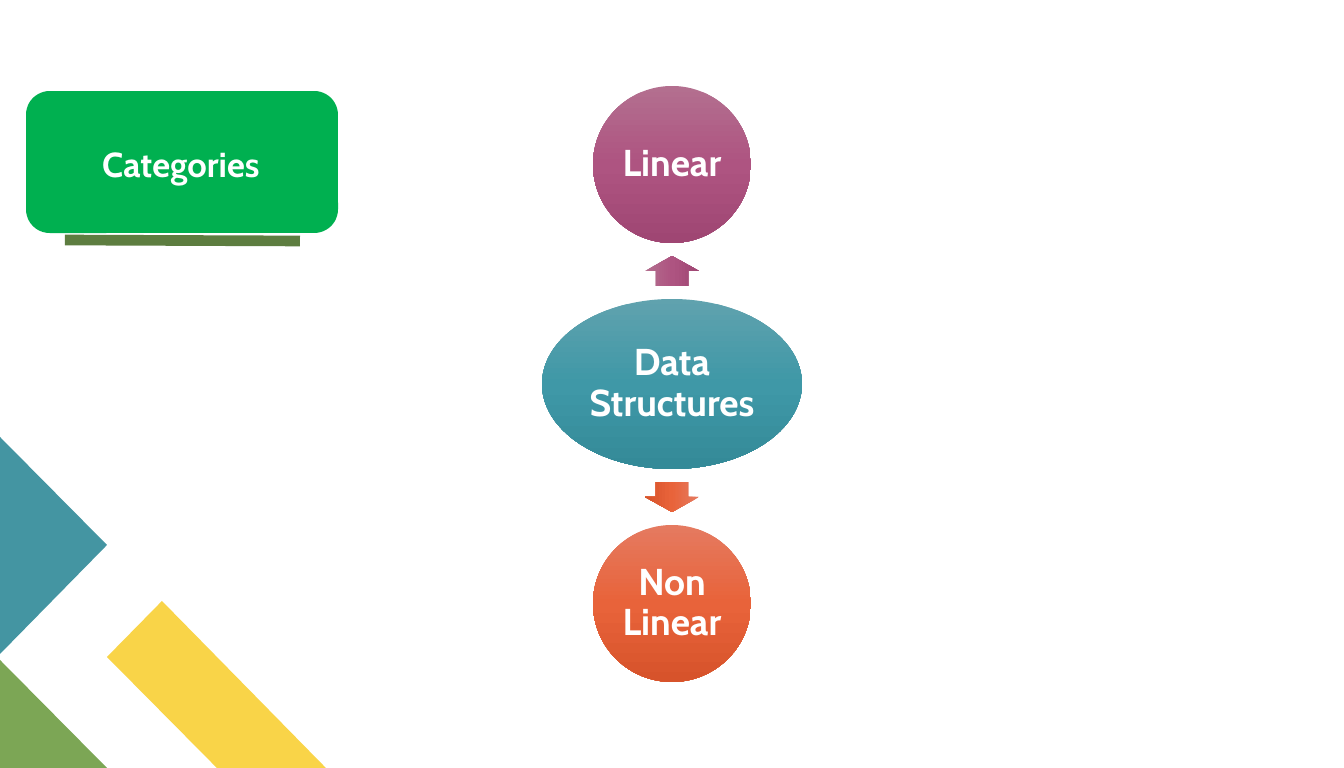
from copy import deepcopy

from pptx import Presentation
from pptx.dml.color import RGBColor
from pptx.enum.shapes import MSO_CONNECTOR, MSO_SHAPE
from pptx.enum.text import MSO_ANCHOR, MSO_AUTO_SIZE, PP_ALIGN
from pptx.oxml.ns import qn
from pptx.util import Pt
from lxml import etree

OVAL, ARROW, ROUNDED = MSO_SHAPE.OVAL, MSO_SHAPE.RIGHT_ARROW, MSO_SHAPE.ROUNDED_RECTANGLE
STRAIGHT = MSO_CONNECTOR.STRAIGHT
MIDDLE, CENTER, NO_FIT = MSO_ANCHOR.MIDDLE, PP_ALIGN.CENTER, MSO_AUTO_SIZE.NONE

PX = 9525
THEME = {
    "font": "Cabin", "title size": 26, "node size": 28,
    "text": "FFFFFF", "banner": "00B050", "underline": "5D7D40",
    "yellow": "F9D448", "green": "7CA655", "blue": "4495A2",
    "plum": ["B36F8F", "AE5481", "9F4673"],
    "orange": ["E57A60", "E8633A", "D7532B"],
    "teal": ["60A2AE", "3F98A7", "348A98"],
}


def paint(shape, color):
    """Fill with one colour, or top to bottom with three."""
    shape.shadow.inherit = False
    shape.line.fill.background()
    if isinstance(color, str):
        shape.fill.solid()
        shape.fill.fore_color.rgb = RGBColor.from_string(color)
        return
    shape.fill.gradient()
    shape.fill.gradient_angle = 270
    stops = shape._element.spPr.find(qn("a:gradFill")).find(qn("a:gsLst"))
    stops.insert(1, deepcopy(stops[0]))
    for stop, position, shade in zip(shape.fill.gradient_stops, (0, 0.5, 1), color):
        stop.position = position
        stop.color.rgb = RGBColor.from_string(shade)


def write(shape, text, size, inset):
    frame = shape.text_frame
    frame.text = text
    frame.word_wrap = True
    frame.auto_size = NO_FIT
    frame.vertical_anchor = MIDDLE
    frame.margin_left = frame.margin_right = inset * PX
    frame.margin_top = frame.margin_bottom = inset * PX
    paragraph = frame.paragraphs[0]
    paragraph.alignment = CENTER
    paragraph.line_spacing = 0.9
    font = paragraph.runs[0].font
    font.name, font.size, font.bold = THEME["font"], Pt(size), True
    font.color.rgb = RGBColor.from_string(THEME["text"])


deck = Presentation()
deck.slide_width, deck.slide_height = 1344 * PX, 768 * PX
slide = deck.slides.add_slide(deck.slide_layouts[5])
shapes = slide.shapes

# Line under the banner
underline = shapes.add_connector(STRAIGHT, 65 * PX, 240 * PX, 300 * PX, 241 * PX)
underline.line.color.rgb = RGBColor.from_string(THEME["underline"])
underline.line.width = Pt(8)
etree.SubElement(underline._element.spPr, qn("a:effectLst"))

# Corner decoration
for color, corners in (
    ("yellow", [(326, 768), (217, 768), (107, 657), (162, 601)]),
    ("green", [(107, 768), (0, 768), (0, 660)]),
    ("blue", [(0, 437), (107, 545), (0, 654)]),
):
    outline = shapes.build_freeform(*corners[0], scale=PX)
    outline.add_line_segments(corners[1:], close=True)
    paint(outline.convert_to_shape(), THEME[color])

# Title banner, with the title in front
banner = shapes.add_shape(ROUNDED, 26 * PX, 91 * PX, 312 * PX, 142 * PX)
banner.adjustments[0] = 0.167
paint(banner, THEME["banner"])
title = shapes.title
title.left, title.top, title.width, title.height = 43 * PX, 113 * PX, 276 * PX, 106 * PX
write(title, "Categories", THEME["title size"], 11)
shapes._spTree.append(title._element)

# Arrows from the centre to each category
for middle_y, rotation, color in ((271, 270, "plum"), (497, 90, "orange")):
    width, height = 30, 54
    arrow = shapes.add_shape(ARROW, (672 - width // 2) * PX, (middle_y - height // 2) * PX,
                             width * PX, height * PX)
    arrow.adjustments[0], arrow.adjustments[1] = 0.6, 0.5
    arrow.rotation = rotation
    paint(arrow, THEME[color])

# Categories and the centre
for label, top, width, height, color in (
    ("Linear", 86, 158, 157, "plum"),
    ("Non Linear", 525, 158, 157, "orange"),
    ("Data Structures", 299, 260, 170, "teal"),
):
    node = shapes.add_shape(OVAL, (672 - width // 2) * PX, top * PX, width * PX, height * PX)
    paint(node, THEME[color])
    write(node, label, THEME["node size"], 4)

deck.save("out.pptx")
